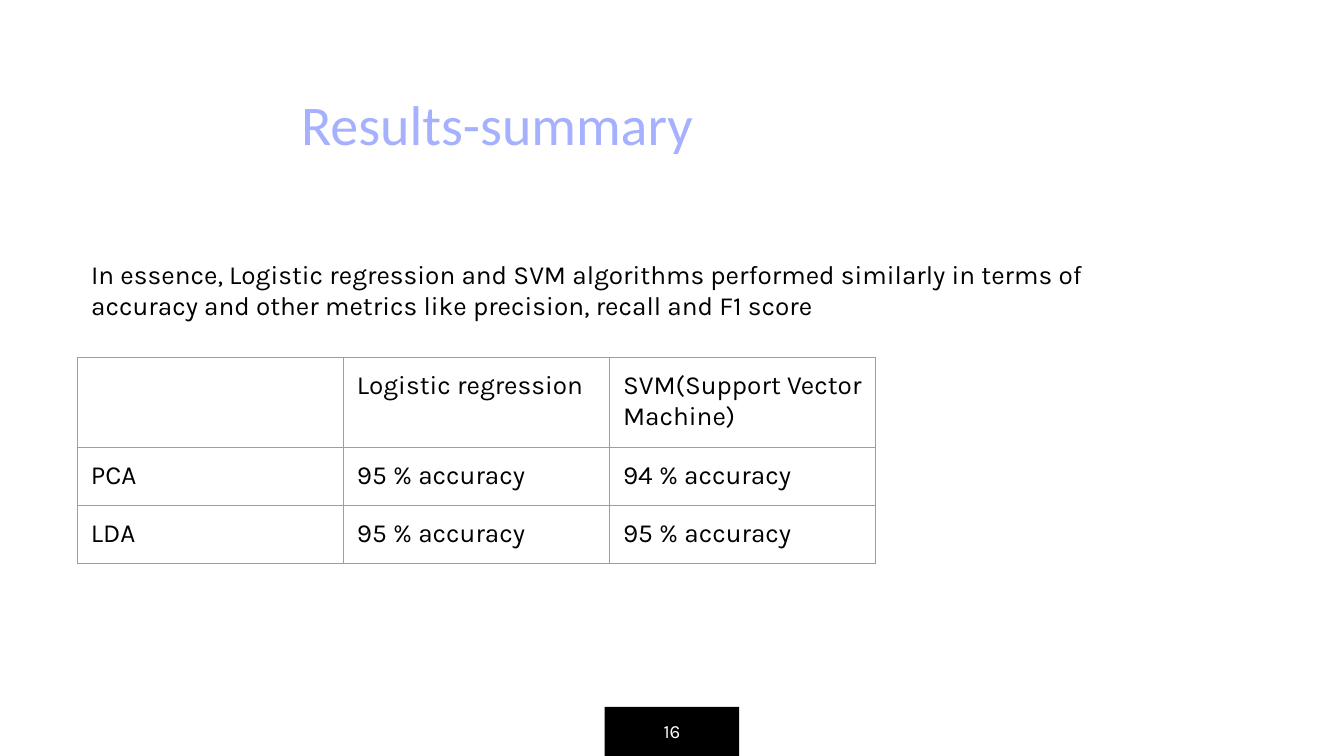
from lxml import etree
from pptx import Presentation
from pptx.dml.color import RGBColor
from pptx.enum.shapes import MSO_SHAPE
from pptx.enum.text import MSO_ANCHOR, PP_ALIGN
from pptx.oxml.ns import qn
from pptx.util import Inches, Pt

RECT = MSO_SHAPE.RECTANGLE
TOP, MIDDLE = MSO_ANCHOR.TOP, MSO_ANCHOR.MIDDLE
LEFT, CENTER = PP_ALIGN.LEFT, PP_ALIGN.CENTER

BLACK = RGBColor(0x00, 0x00, 0x00)
WHITE = RGBColor(0xFF, 0xFF, 0xFF)
LAVENDER = RGBColor(0xA5, 0xB0, 0xFE)
GREY = RGBColor(0x9E, 0x9E, 0x9E)

WIDTH = Inches(10)
HEIGHT = WIDTH * 9 // 16
COL, ROW = WIDTH / 100, HEIGHT / 100
INSET = Inches(0.1)
BODY_SIZE = 14

SUMMARY = (
    "In essence, Logistic regression and SVM algorithms performed similarly in terms of "
    "accuracy and other metrics like precision, recall and F1 score"
)
RESULTS = [
    ["", "Logistic regression", "SVM(Support Vector Machine)"],
    ["PCA", "95 % accuracy", "94 % accuracy"],
    ["LDA", "95 % accuracy", "95 % accuracy"],
]


def grid_box(col, row, cols, rows):
    return int(col * COL), int(row * ROW), int(cols * COL), int(rows * ROW)


def set_insets(target):
    target.margin_left = target.margin_right = INSET
    target.margin_top = target.margin_bottom = INSET


def write(tf, text, size, color, font="Karla", align=LEFT):
    tf.text = text
    tf.word_wrap = True
    p = tf.paragraphs[0]
    p.alignment = align
    p.font.size = Pt(size)
    for r in p.runs:
        r.font.name = font
        r.font.size = Pt(size)
        r.font.color.rgb = color


def add_title(s, box):
    sp = s.shapes.title
    sp.left, sp.top, sp.width, sp.height = box
    tf = sp.text_frame
    set_insets(tf)
    tf.vertical_anchor = TOP
    write(tf, "Results-summary", 30, LAVENDER, "Calibri")


def add_summary(s, box):
    tf = s.shapes.add_textbox(*box).text_frame
    set_insets(tf)
    tf.margin_top = Inches(0.33)
    write(tf, SUMMARY, BODY_SIZE, BLACK)


def add_borders(cell):
    tc_pr = cell._tc.get_or_add_tcPr()
    for i, side in enumerate(("lnL", "lnR", "lnT", "lnB")):
        ln = etree.Element(qn(f"a:{side}"), w=str(Pt(0.75)))
        fill = etree.SubElement(ln, qn("a:solidFill"))
        etree.SubElement(fill, qn("a:srgbClr"), val=str(GREY))
        tc_pr.insert(i, ln)


def add_results(s, box, row_heights):
    table = s.shapes.add_table(len(RESULTS), len(RESULTS[0]), *box).table
    table.first_row = table.horz_banding = False
    for row, height, texts in zip(table.rows, row_heights, RESULTS):
        row.height = int(height * ROW)
        for cell, text in zip(row.cells, texts):
            set_insets(cell)
            cell.fill.background()
            add_borders(cell)
            write(cell.text_frame, text, BODY_SIZE, BLACK)


def add_page_number(s, box):
    sp = s.shapes.add_shape(RECT, *box)
    sp.shadow.inherit = False
    sp.fill.solid()
    sp.fill.fore_color.rgb = BLACK
    sp.line.fill.background()
    tf = sp.text_frame
    set_insets(tf)
    tf.vertical_anchor = MIDDLE
    write(tf, "16", 10, WHITE, align=CENTER)


def main():
    prs = Presentation()
    prs.slide_width, prs.slide_height = WIDTH, HEIGHT
    s = prs.slides.add_slide(prs.slide_layouts[5])
    s.background.fill.solid()
    s.background.fill.fore_color.rgb = WHITE

    row_heights = [11.85, 7.68, 7.68]
    add_page_number(s, grid_box(45, 93.5, 10, 6.5))
    add_title(s, grid_box(21.4, 10, 52.8, 12.6))
    add_summary(s, grid_box(5.8, 28.3, 82.9, 20.3))
    add_results(s, grid_box(5.76, 47.3, 59.4, sum(row_heights)), row_heights)
    prs.save("out.pptx")


if __name__ == "__main__":
    main()
